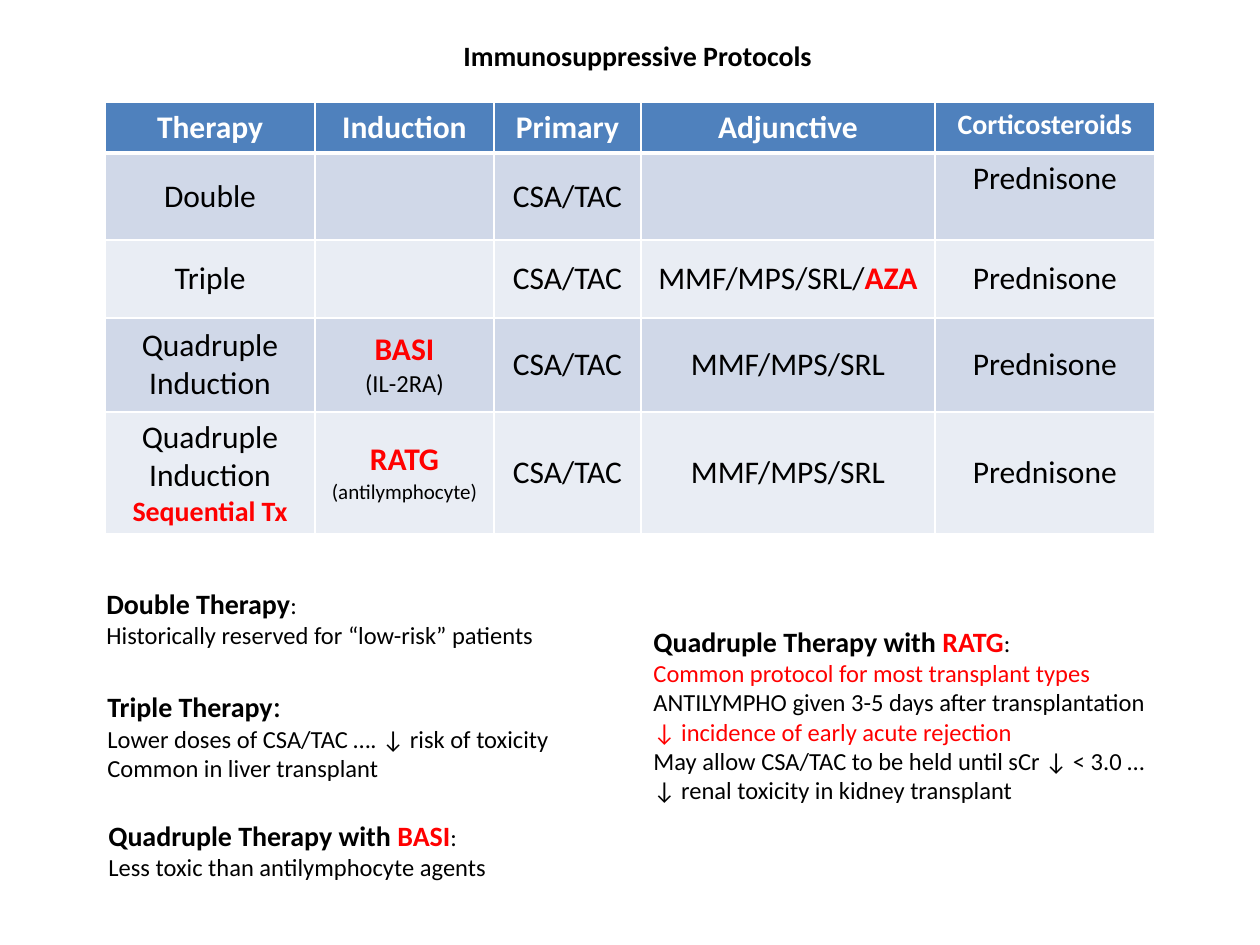
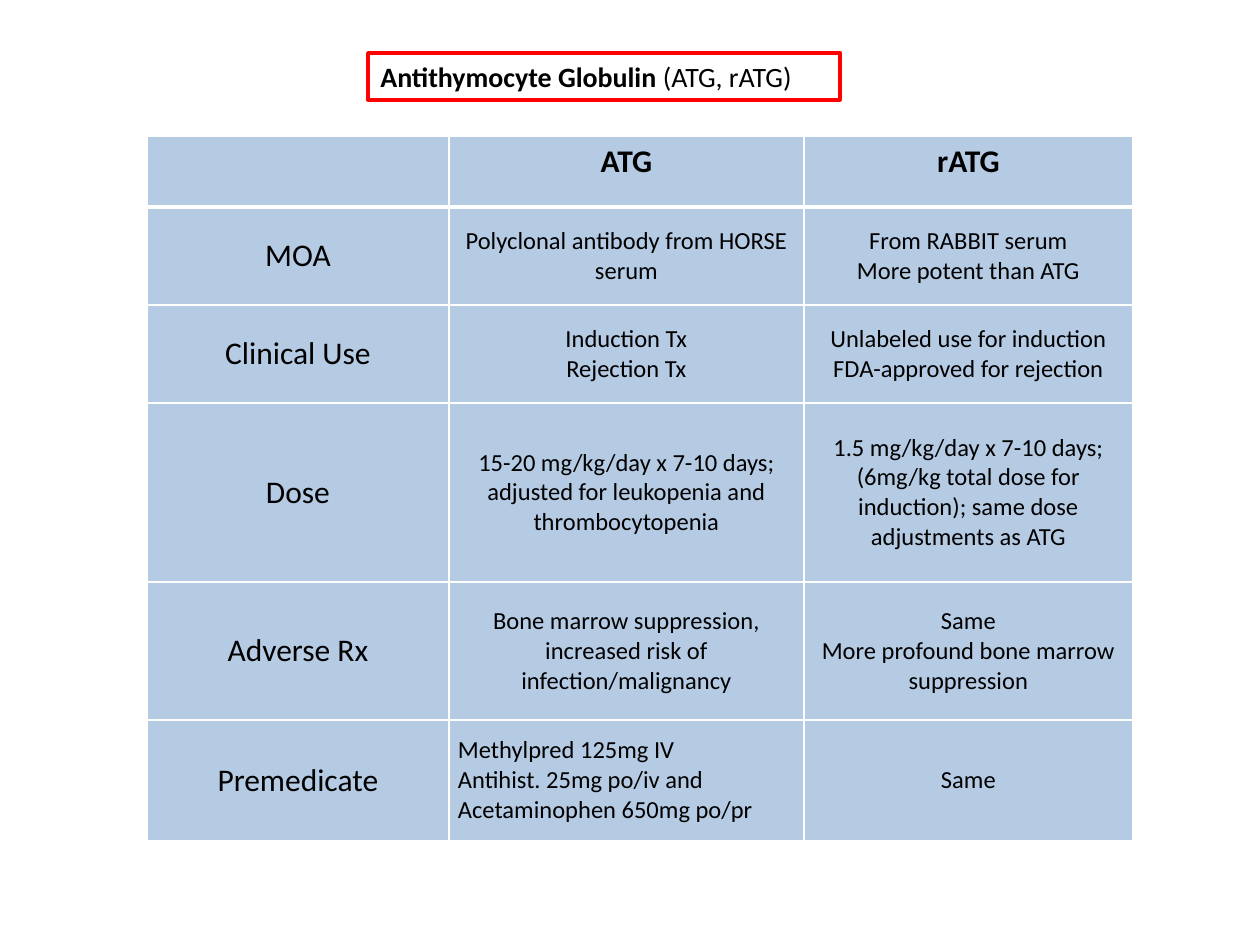
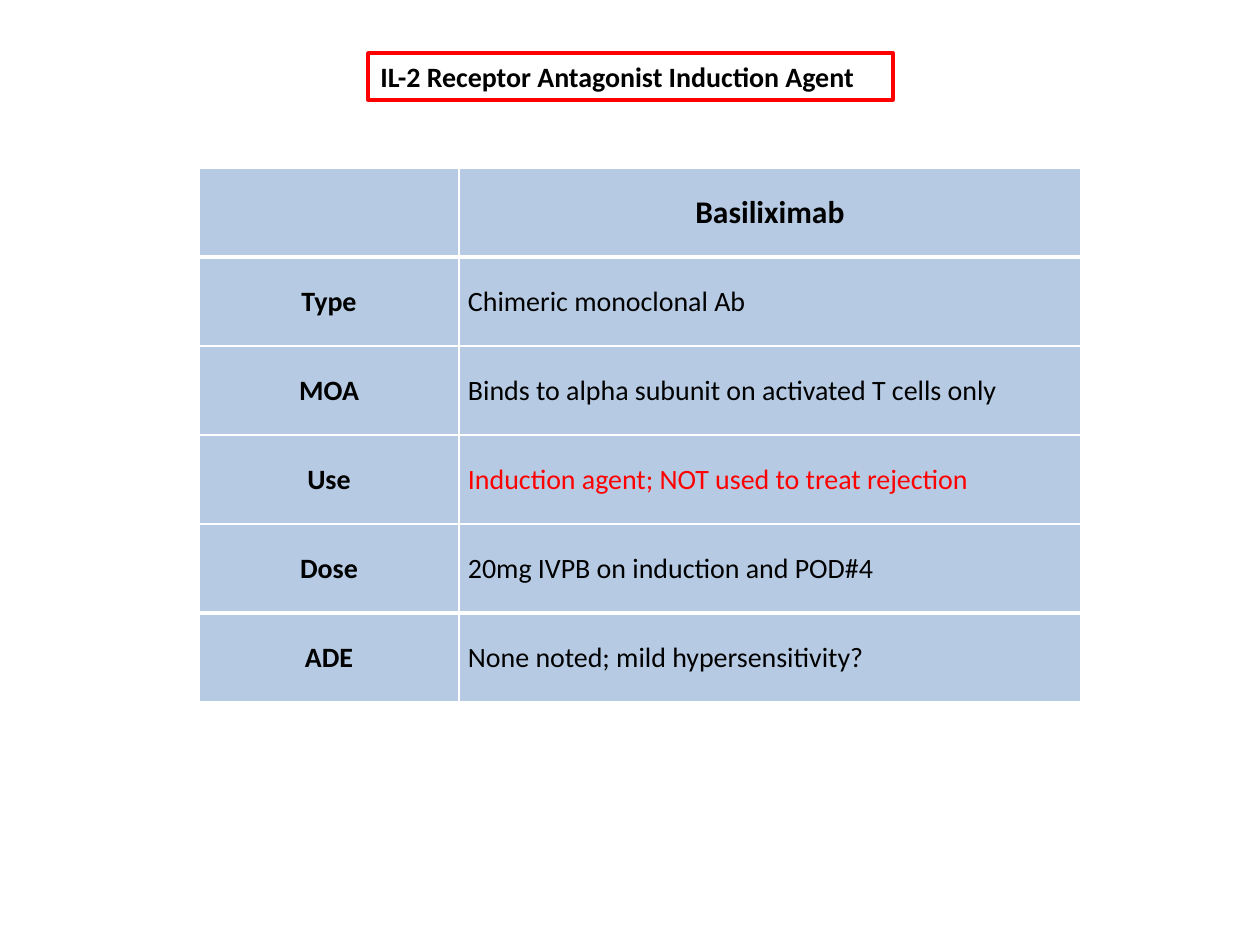
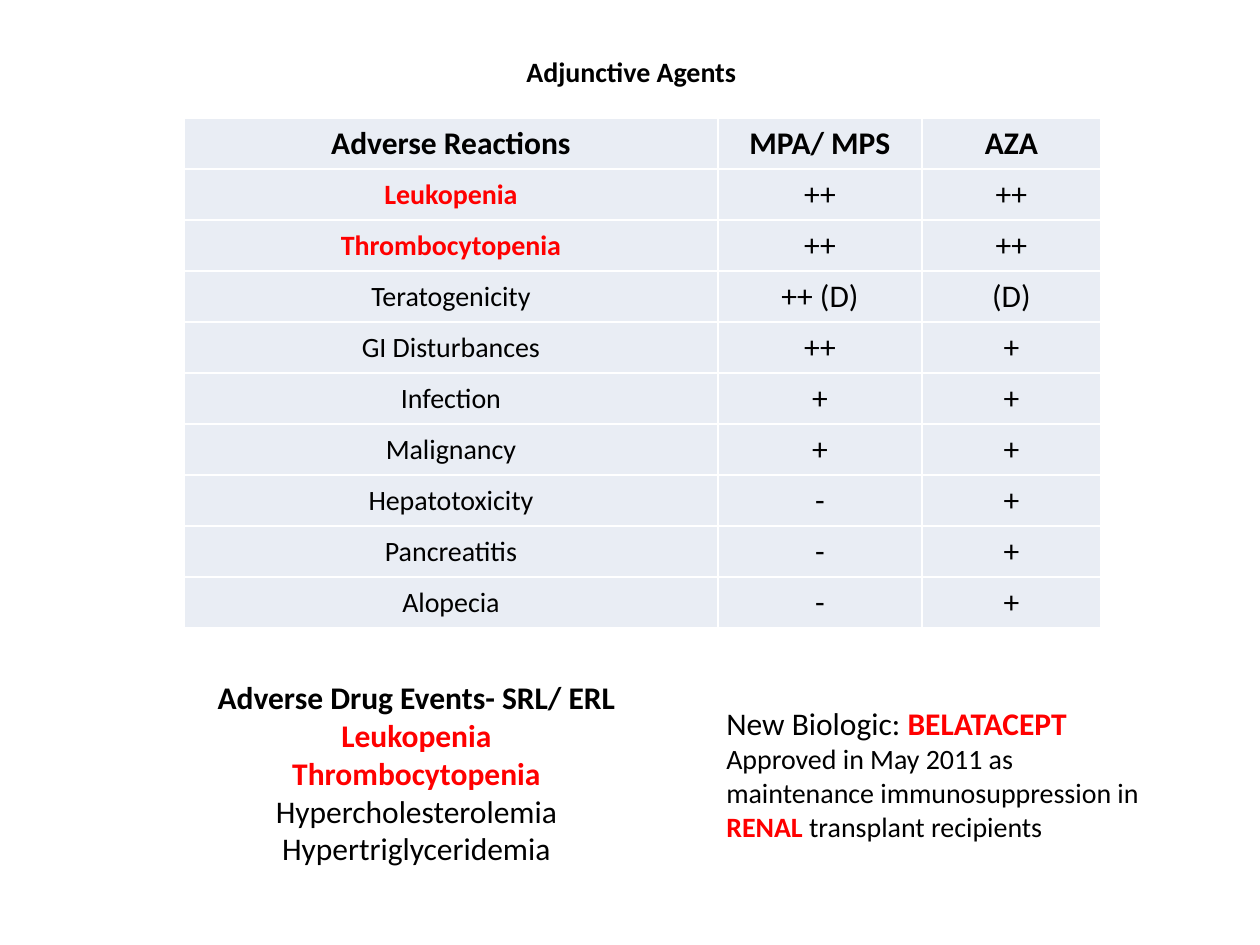
from lxml import etree
from pptx import Presentation
from pptx.dml.color import RGBColor
from pptx.enum.shapes import MSO_SHAPE
from pptx.enum.text import MSO_ANCHOR, MSO_AUTO_SIZE, PP_ALIGN
from pptx.oxml.ns import qn
from pptx.util import Emu, Pt

RECT = MSO_SHAPE.RECTANGLE
TOP, MIDDLE = MSO_ANCHOR.TOP, MSO_ANCHOR.MIDDLE
LEFT, CENTER = PP_ALIGN.LEFT, PP_ALIGN.CENTER
GROW = MSO_AUTO_SIZE.SHAPE_TO_FIT_TEXT

FONT = "Calibri"
COLORS = {"black": "000000", "white": "FFFFFF", "red": "FF0000",
          "blue": "4F81BD", "band": "D0D8E8", "pale": "E9EDF4"}
HOT = {"color": "red", "bold": True}
PLAIN = {"size": 14, "bold": False, "color": "black"}


def px(n):
    """Convert pixels to EMU at 126 pixels to the inch."""
    return Emu(round(n * 914400 / 126))


def rgb(name):
    """Look up a named colour."""
    return RGBColor.from_string(COLORS[name])


def add_run(p, text, size=18, bold=False, color="black"):
    """Append one formatted run to a paragraph."""
    r = p.add_run()
    r.text = text
    r.font.name, r.font.size, r.font.bold = FONT, Pt(size), bold
    r.font.color.rgb = rgb(color)


def write(tf, paras, align=LEFT, **fmt):
    """Fill a text frame; a paragraph is a string or a list of (text, format) runs."""
    for i, para in enumerate(paras):
        p = tf.paragraphs[0] if i == 0 else tf.add_paragraph()
        p.alignment = align
        for text, own in [(para, {})] if isinstance(para, str) else para:
            add_run(p, text, **{**fmt, **own})


def add_text(slide, box, *paras, wrap=True, **fmt):
    """Add a text box that grows with its text."""
    tf = slide.shapes.add_textbox(*map(px, box)).text_frame
    tf.word_wrap = wrap
    tf.auto_size = GROW
    write(tf, paras, **fmt)


def framed_title(slide, box, para):
    """Add a title in a red outline."""
    sp = slide.shapes.add_shape(RECT, *map(px, box))
    sp.shadow.inherit = False
    sp.fill.background()
    sp.line.color.rgb = rgb("red")
    sp.line.width = Pt(2)
    tf = sp.text_frame
    tf.word_wrap = True
    tf.vertical_anchor = TOP
    write(tf, [para], size=16, bold=True)


def cell(*paras, align=CENTER, anchor=MIDDLE, **fmt):
    """Describe the content and format of one table cell."""
    return {"paras": paras, "align": align, "anchor": anchor, "fmt": fmt}


def add_borders(tc_pr, top, bottom):
    """Give a cell white borders of 1 pt, or of the given widths above and below."""
    widths = {"lnL": 1, "lnR": 1, "lnT": top, "lnB": bottom}
    for i, (tag, width) in enumerate(widths.items()):
        ln = etree.Element(qn("a:" + tag), w=str(Pt(width)))
        fill = etree.SubElement(ln, qn("a:solidFill"))
        etree.SubElement(fill, qn("a:srgbClr"), val=COLORS["white"])
        tc_pr.insert(i, ln)


def add_grid(slide, origin, cols, heights, rows, fills, thick=(), alpha=None):
    """Add a table; the rows listed in thick have a 3 pt line below them."""
    x, y = origin
    tbl = slide.shapes.add_table(len(rows), len(cols), px(x), px(y),
                                 px(sum(cols)), px(sum(heights))).table
    tbl.first_row = tbl.horz_banding = False
    for col, width in zip(tbl.columns, cols):
        col.width = px(width)
    for r, row in enumerate(rows):
        tbl.rows[r].height = px(heights[r])
        for c, item in enumerate(row):
            tc = tbl.cell(r, c)
            tc.vertical_anchor = item["anchor"]
            if item["align"] == LEFT:
                tc.margin_left = tc.margin_right = px(9)
            tc.fill.solid()
            tc.fill.fore_color.rgb = rgb(fills[r])
            tc_pr = tc._tc.get_or_add_tcPr()
            if alpha:
                clr = tc_pr.find(".//" + qn("a:srgbClr"))
                etree.SubElement(clr, qn("a:alpha"), val=str(alpha * 1000))
            add_borders(tc_pr, 3 if r - 1 in thick else 1, 3 if r in thick else 1)
            write(tc.text_frame, item["paras"], item["align"], **item["fmt"])


def protocol_table(slide, x, y):
    """Add the table of therapies and their drugs."""
    head = {"anchor": TOP, "bold": True, "color": "white"}
    csa, mmf, pred = cell("CSA/TAC"), cell("MMF/MPS/SRL"), cell("Prednisone")
    rows = [
        [cell(t, **head) for t in ("Therapy", "Induction", "Primary", "Adjunctive")]
        + [cell("Corticosteroids", size=16, **head)],
        [cell("Double"), cell(), csa, cell(), cell("Prednisone", anchor=TOP)],
        [cell("Triple"), cell(), csa,
         cell([("MMF/MPS/SRL/", {}), ("AZA", HOT)]), pred],
        [cell("Quadruple", "Induction"),
         cell([("BASI", HOT)], [("(IL-2RA)", {"size": 14})]), csa, mmf, pred],
        [cell("Quadruple", "Induction", [("Sequential Tx", {**HOT, "size": 16})]),
         cell([("RATG ", HOT), ("(antilymphocyte)", {"size": 12})]), csa, mmf, pred],
    ]
    add_grid(slide, (x, y), [210, 179, 147, 294, 220], [51, 87, 78, 94, 122],
             rows, ["blue", "band", "pale", "band", "pale"], thick=(0,))


def therapy_note(slide, box, name, *lines, drug="", colon=14, wrap=True):
    """Add a bold therapy heading with its remarks below."""
    heading = {"size": 16, "bold": True, "color": "black"}
    runs = [(name, heading)]
    if drug:
        runs.append((drug, {**heading, "color": "red"}))
    runs.append((":", {**PLAIN, "size": colon}))
    add_text(slide, box, runs, *lines, wrap=wrap, size=14)


def protocols_slide(slide):
    """Build the overview of protocols."""
    add_text(slide, (451, 32, 378, 47), "Immunosuppressive Protocols",
             wrap=False, size=16, bold=True)
    protocol_table(slide, 105, 102)
    therapy_note(slide, (94, 580, 457, 77), "Double Therapy",
                 "Historically reserved for “low-risk” patients", wrap=False)
    therapy_note(slide, (95, 680, 500, 111), "Triple Therapy",
                 "Lower doses of CSA/TAC …. ↓ risk of toxicity",
                 "Common in liver transplant", colon=18)
    therapy_note(slide, (96, 812, 407, 77), "Quadruple Therapy with ",
                 "Less toxic than antilymphocyte agents", drug="BASI", wrap=False)
    red = {"color": "red"}
    therapy_note(slide, (641, 618, 525, 195), "Quadruple Therapy with ",
                 [("Common protocol for most transplant types", red)],
                 "ANTILYMPHO given 3-5 days after transplantation",
                 [("↓ incidence of early acute rejection", red)],
                 "May allow CSA/TAC to be held until sCr ↓ < 3.0 … "
                 "↓ renal toxicity in kidney transplant", drug="RATG")


def globulin_slide(slide):
    """Build the comparison of the two globulins."""
    framed_title(slide, (368, 53, 472, 47),
                 [("Antithymocyte Globulin ", {}), ("(ATG, rATG)", {"bold": False})])
    facts = [
        ("MOA", ["Polyclonal antibody from HORSE serum"],
         ["From RABBIT serum", "More potent than ATG"]),
        ("Clinical Use", ["Induction Tx", "Rejection Tx"],
         ["Unlabeled use for induction", "FDA-approved for rejection"]),
        ("Dose",
         ["15-20 mg/kg/day x 7-10 days; adjusted for leukopenia and thrombocytopenia"],
         ["1.5 mg/kg/day x 7-10 days; (6mg/kg total dose for induction); "
          "same dose adjustments as ATG"]),
        ("Adverse Rx",
         ["Bone marrow suppression, increased risk of infection/malignancy"],
         ["Same", "More profound bone marrow suppression"]),
        ("Premedicate",
         ["Methylpred 125mg IV", "Antihist. 25mg po/iv and Acetaminophen 650mg po/pr"],
         ["Same"]),
    ]
    rows = [[cell()] + [cell(t, anchor=TOP, bold=True) for t in ("ATG", "rATG")]]
    for name, horse, rabbit in facts:
        align = LEFT if name == "Premedicate" else CENTER
        rows.append([cell(name), cell(*horse, align=align, size=14),
                     cell(*rabbit, size=14)])
    add_grid(slide, (147, 136), [302, 355, 329], [71, 98, 98, 179, 138, 121],
             rows, ["blue"] * len(rows), thick=(0,), alpha=42)


def antagonist_slide(slide):
    """Build the profile of the receptor antagonist."""
    framed_title(slide, (368, 53, 525, 47), "IL-2 Receptor Antagonist Induction Agent")
    facts = {
        "Type": "Chimeric monoclonal Ab",
        "MOA": "Binds to alpha subunit on activated T cells only",
        "Use": "Induction agent; NOT used to treat rejection",
        "Dose": "20mg IVPB on induction and POD#4",
        "ADE": "None noted; mild hypersensitivity?",
    }
    rows = [[cell(), cell("Basiliximab", bold=True)]]
    for name, fact in facts.items():
        rows.append([cell(name, size=16, bold=True),
                     cell(fact, align=LEFT, size=16,
                          color="red" if name == "Use" else "black")])
    add_grid(slide, (199, 168), [260, 622], [89] * len(rows), rows,
             ["blue"] * len(rows), thick=(0, 4), alpha=41)


def reaction_table(slide, x, y):
    """Add the table of adverse reactions by agent."""
    reactions = [
        ("Leukopenia", "++", "++"), ("Thrombocytopenia", "++", "++"),
        ("Teratogenicity", "++ (D)", "(D)"), ("GI Disturbances", "++", "+"),
        ("Infection", "+", "+"), ("Malignancy", "+", "+"),
        ("Hepatotoxicity", "-", "+"), ("Pancreatitis", "-", "+"),
        ("Alopecia", "-", "+"),
    ]
    rows = [[cell(t, bold=True) for t in ("Adverse Reactions", "MPA/ MPS", "AZA")]]
    for i, (name, *marks) in enumerate(reactions):
        rows.append([cell(name, size=16, **(HOT if i < 2 else {}))]
                    + [cell(m) for m in marks])
    add_grid(slide, (x, y), [534, 204, 179], [51] * len(rows), rows,
             ["pale"] * len(rows))


def adjunctive_slide(slide):
    """Build the overview of adjunctive agents."""
    add_text(slide, (514, 48, 244, 47), "Adjunctive Agents",
             wrap=False, size=16, bold=True)
    reaction_table(slide, 184, 118)
    add_text(slide, (189, 672, 455, 204),
             [("Adverse Drug Events- SRL/ ERL", {"bold": True})],
             [("Leukopenia", HOT)], [("Thrombocytopenia", HOT)],
             "Hypercholesterolemia", "Hypertriglyceridemia", align=CENTER)
    add_text(slide, (714, 698, 462, 152),
             [("New Biologic: ", {"size": 18}), ("BELATACEPT", {**HOT, "size": 18})],
             [("Approved in May 2011 as maintenance immunosuppression in ", {}),
              ("RENAL", HOT), (" transplant recipients", {})], size=16)


def main():
    """Build the slides and save the file."""
    prs = Presentation()
    prs.slide_width, prs.slide_height = px(1260), px(945)
    for build in (protocols_slide, globulin_slide, antagonist_slide, adjunctive_slide):
        build(prs.slides.add_slide(prs.slide_layouts[6]))
    prs.save("out.pptx")


if __name__ == "__main__":
    main()
